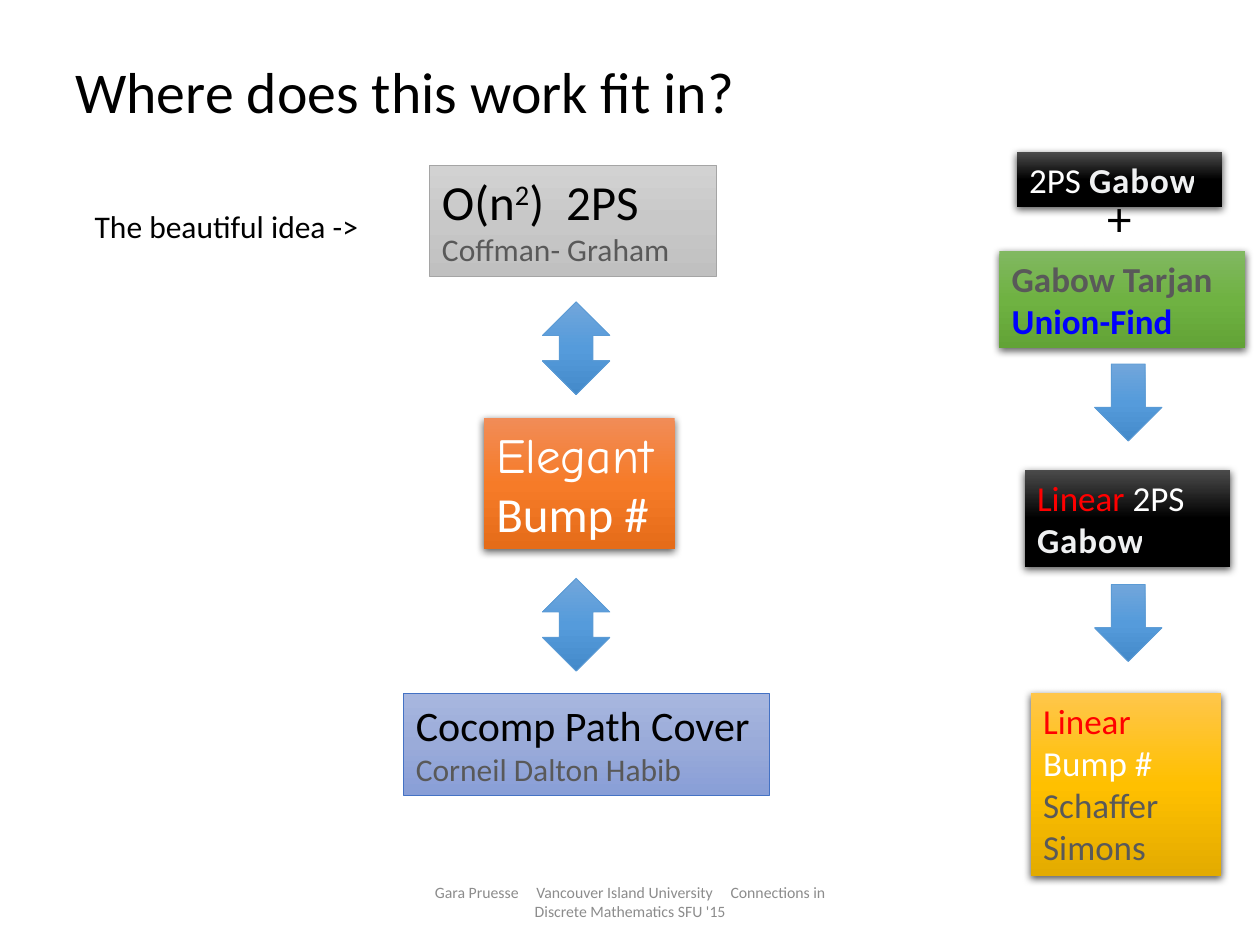
import copy

import lxml.etree
import pptx
import pptx.dml.color
import pptx.enum.dml
import pptx.enum.shapes
import pptx.enum.text
import pptx.oxml
import pptx.oxml.ns
import pptx.util

Pt = pptx.util.Pt
SHAPES = pptx.enum.shapes.MSO_SHAPE
ANCHOR = pptx.enum.text.MSO_ANCHOR
ALIGN = pptx.enum.text.PP_ALIGN
AUTO_SIZE = pptx.enum.text.MSO_AUTO_SIZE
qn = pptx.oxml.ns.qn

BLACK, WHITE, GREY, RED, BLUE = "000000", "FFFFFF", "595959", "FF0000", "0000FF"
DARK_GRADIENT = ("4B4B4B", "000000", "000000")
ARROW_GRADIENT = ("71A6DB", "559BDB", "448ACA")
ARROW_LINE = "5B9BD5"
GABOW = ("Gabow", 20, "FCFDFE", {"bold": True, "spacing": 0.5, "alpha": 95})


def rgb(color):
    return pptx.dml.color.RGBColor.from_string(color)


def add_run(paragraph, text, size, color, options=None):
    options = options or {}
    run = paragraph.add_run()
    run.text = text
    formats = {
        "size": Pt(size),
        "name": options.get("name", "Calibri"),
        "bold": options.get("bold", False),
    }
    for attribute, value in formats.items():
        setattr(run.font, attribute, value)
    run.font.color.rgb = rgb(color)
    properties = run.font._element
    if "spacing" in options:
        properties.set("spc", str(round(options["spacing"] * 100)))
    if "baseline" in options:
        properties.set("baseline", str(options["baseline"] * 1000))
    if "alpha" in options:
        solid_color = properties.find(".//" + qn("a:srgbClr"))
        alpha = lxml.etree.SubElement(solid_color, qn("a:alpha"))
        alpha.set("val", str(options["alpha"] * 1000))


def write_text(shape, paragraphs, frame=None, layout=None):
    frame_formats = {
        "word_wrap": True,
        "vertical_anchor": ANCHOR.TOP,
        "auto_size": AUTO_SIZE.SHAPE_TO_FIT_TEXT,
        **(frame or {}),
    }
    layout_formats = {"alignment": ALIGN.LEFT, **(layout or {})}
    text_frame = shape.text_frame
    for attribute, value in frame_formats.items():
        setattr(text_frame, attribute, value)
    for index, runs in enumerate(paragraphs):
        paragraph = text_frame.add_paragraph() if index else text_frame.paragraphs[0]
        for attribute, value in layout_formats.items():
            setattr(paragraph, attribute, value)
        for run in runs:
            add_run(paragraph, *run)


def add_text(slide, box, paragraphs, frame=None, layout=None):
    shape = slide.shapes.add_textbox(*map(Pt, box))
    write_text(shape, paragraphs, frame, layout)


def fill_gradient(shape, colors):
    shape.fill.gradient()
    shape.fill.gradient_angle = 270
    stop_list = shape._element.spPr.find(".//" + qn("a:gsLst"))
    stop_list.insert(1, copy.deepcopy(stop_list[0]))
    for stop, position, color in zip(shape.fill.gradient_stops, (0, 0.5, 1), colors):
        stop.position = position
        stop.color.rgb = rgb(color)


def add_shadow(shape):
    effects = shape._element.spPr.find(qn("a:effectLst"))
    effects.append(pptx.oxml.parse_xml(
        '<a:outerShdw xmlns:a="http://schemas.openxmlformats.org/drawingml/2006/main" '
        'blurRad="57150" dist="19050" dir="5400000" algn="ctr" rotWithShape="0">'
        '<a:srgbClr val="000000"><a:alpha val="63000"/></a:srgbClr></a:outerShdw>'
    ))


def add_gradient_shape(slide, kind, box, colors, line=None):
    shape = slide.shapes.add_shape(kind, *map(Pt, box))
    shape.shadow.inherit = False
    fill_gradient(shape, colors)
    if line:
        shape.line.color.rgb = rgb(line)
        shape.line.width = Pt(0.5)
    else:
        shape.line.fill.background()
    return shape


def add_card(slide, box, colors, paragraphs, line=None, frame=None):
    shape = add_gradient_shape(slide, SHAPES.RECTANGLE, box, colors, line)
    if not line:
        add_shadow(shape)
    write_text(shape, paragraphs, frame)


def add_cards(slide):
    add_card(slide, (589, 396, 109, 104.5), ("FFC64B", "FFC000", "E3AB00"),
             [[("Linear ", 20, RED), ("Bump # ", 20, WHITE),
               ("Schaffer Simons", 20, GREY)]])
    add_card(slide, (245.5, 94.5, 164, 63.5), ("D2D2D2", "C8C8C8", "C0C0C0"),
             [[("O(n", 28, BLACK), ("2", 28, BLACK, {"baseline": 30}),
               (")", 28, BLACK), (" ", 28, BLACK, {"spacing": 6.3}),
               ("2PS ", 28, BLACK), ("Coffman- Graham", 18, GREY)]],
             line="A5A5A5")
    add_card(slide, (581, 87, 117.5, 31.5), DARK_GRADIENT,
             [[("2PS ", 20, WHITE), GABOW]])
    add_card(slide, (571, 143.5, 140.5, 55.5), ("81B861", "6FB242", "62A336"),
             [[("Gabow Tarjan", 20, GREY, {"bold": True})],
              [("Union-Find", 20, BLUE, {"bold": True})]])
    add_card(slide, (230.5, 396, 209, 58.5), ("A8B7DF", "9AABD9", "889ED7"),
             [[("Cocomp Path Cover", 24, BLACK)],
              [("Corneil Dalton Habib", 18, GREY)]],
             line="4472C4", frame={"word_wrap": False})
    add_card(slide, (276.5, 239, 109, 75), ("F18C57", "F67B28", "E56C19"),
             [[("Elegant ", 28, WHITE, {"name": "Comic Neue"}),
               ("Bump #", 28, WHITE)]])
    add_card(slide, (585.5, 268.5, 117.5, 55.5), DARK_GRADIENT,
             [[("Linear", 20, RED), (" 2PS ", 20, WHITE), GABOW]])


def add_arrows(slide):
    columns = (
        (SHAPES.DOWN_ARROW, 625.5, 44, (208, 334)),
        (SHAPES.UP_DOWN_ARROW, 310, 53, (172.5, 330.5)),
    )
    for kind, left, height, tops in columns:
        for top in tops:
            add_gradient_shape(slide, kind, (left, top, 38.5, height),
                               ARROW_GRADIENT, ARROW_LINE)


def add_labels(slide):
    centered = {"vertical_anchor": ANCHOR.MIDDLE, "auto_size": AUTO_SIZE.NONE}
    add_text(slide, (36, 21.5, 648, 65.5),
             [[("Where does this work fit in?", 33, BLACK)]],
             centered, {"line_spacing": 0.9})
    footer_color = "8C8C8C"
    gap = (" ", 9, footer_color, {"spacing": 8.1})
    add_text(slide, (238.5, 500.5, 243, 29),
             [[("Gara Pruesse", 9, footer_color), gap,
               ("Vancouver Island University", 9, footer_color), gap,
               ("Connections in Discrete Mathematics SFU '15", 9, footer_color)]],
             centered, {"alignment": ALIGN.CENTER})
    unwrapped = {"word_wrap": False}
    add_text(slide, (625.5, 103.5, 29, 41), [[("+", 28, BLACK)]], unwrapped)
    add_text(slide, (47, 114.5, 167, 29),
             [[("The beautiful idea ->", 18, BLACK)]], unwrapped)


def main():
    presentation = pptx.Presentation()
    presentation.slide_width = Pt(720)
    presentation.slide_height = Pt(540)
    slide = presentation.slides.add_slide(presentation.slide_layouts[6])
    add_cards(slide)
    add_arrows(slide)
    add_labels(slide)
    presentation.save("out.pptx")


if __name__ == "__main__":
    main()
